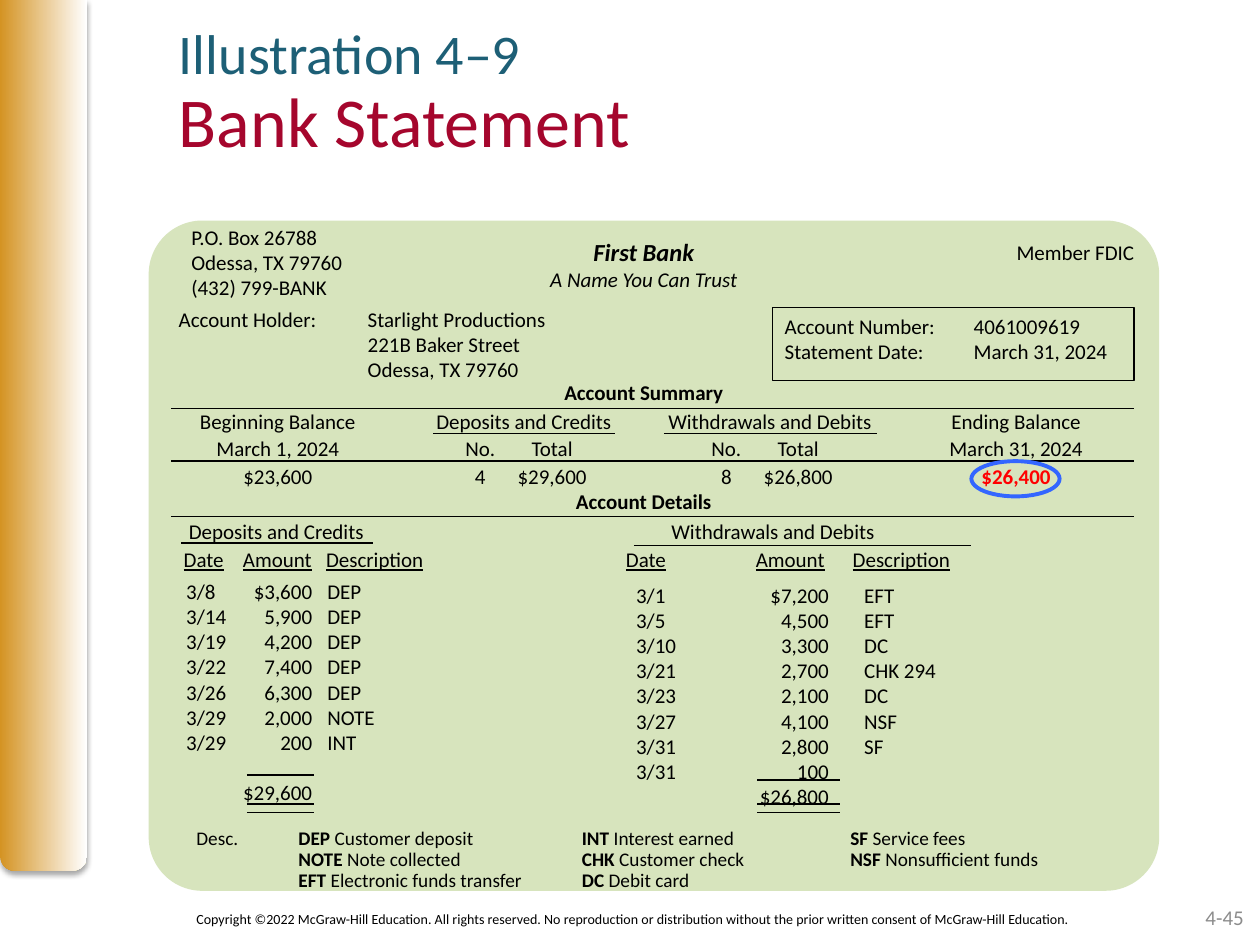
from dataclasses import dataclass

from lxml import etree
from pptx import Presentation
from pptx import util as u
from pptx.dml.color import RGBColor
from pptx.enum import shapes, text
from pptx.oxml.ns import qn

PX = 9144
LEFT, MID, RIGHT = text.PP_ALIGN.LEFT, text.PP_ALIGN.CENTER, text.PP_ALIGN.RIGHT
KIND = shapes.MSO_SHAPE


@dataclass
class Theme:
    face: str = "Calibri"
    ink: str = "000000"
    teal: str = "1D5F76"
    wine: str = "A5062D"
    gold: str = "D49323"
    white: str = "FFFFFF"
    green: str = "D7E4BD"
    red: str = "FF0000"
    blue: str = "3366FF"
    grey: str = "8C8C8C"
    lead: int = 32
    head: int = 40
    bank: int = 14
    body: int = 12
    key: int = 11
    small: int = 8


def rgb(code):
    return RGBColor.from_string(code)


class Page:
    def __init__(self, deck, theme):
        self.theme = theme
        self.slide = deck.slides.add_slide(deck.slide_layouts[5])

    def style(self, run, size, color):
        run.font.name = self.theme.face
        run.font.size = u.Pt(size)
        run.font.color.rgb = rgb(color)

    def title(self, x, y, w, h, lines):
        item = self.slide.shapes.title
        item.left, item.top, item.width, item.height = (n * PX for n in (x, y, w, h))
        frame = item.text_frame
        frame.text = "\v".join(line for line, _, _ in lines)
        frame.auto_size = text.MSO_AUTO_SIZE.NONE
        frame.vertical_anchor = text.MSO_ANCHOR.TOP
        para = frame.paragraphs[0]
        para.alignment, para.line_spacing = LEFT, 0.9
        for run, (_, size, color) in zip(para.runs, lines):
            self.style(run, size, color)

    def stops(self, para, tabs):
        if tabs:
            group = etree.SubElement(para._p.get_or_add_pPr(), qn("a:tabLst"))
            for pos, side in tabs:
                etree.SubElement(group, qn("a:tab"), pos=str(pos * PX), algn=side)

    def box(self, x, y, w, h, lines, size=None, color=None, align=LEFT,
            tabs=(), space=None, mark="bold"):
        item = self.slide.shapes.add_textbox(x * PX, y * PX, w * PX, h * PX)
        frame = item.text_frame
        frame.word_wrap = True
        for row, line in enumerate(lines):
            para = frame.add_paragraph() if row else frame.paragraphs[0]
            self.stops(para, tabs)
            para.alignment = LEFT if "\t" in line else align
            para.line_spacing = space
            for part, words in enumerate(line.split("|")):
                if words:
                    run = para.add_run()
                    run.text = words
                    self.style(run, size or self.theme.body, color or self.theme.ink)
                    if part % 2:
                        setattr(run.font, mark, True)
        return frame

    def shape(self, kind, x, y, w, h, fill=None, line=None, width=0.75):
        item = self.slide.shapes.add_shape(kind, x * PX, y * PX, w * PX, h * PX)
        item.shadow.inherit = False
        if fill:
            item.fill.solid()
            item.fill.fore_color.rgb = rgb(fill)
        else:
            item.fill.background()
        if line:
            item.line.color.rgb = rgb(line)
            item.line.width = u.Pt(width)
        else:
            item.line.fill.background()
        return item

    def band(self, x, y, w, h):
        item = self.shape(KIND.ROUND_2_SAME_RECTANGLE, x, y, w, h)
        item._element.spPr.find(qn("a:xfrm")).set("flipV", "1")
        item.fill.gradient()
        item.fill.gradient_angle = 0
        for stop, color in zip(item.fill.gradient_stops, (self.theme.gold, self.theme.white)):
            stop.color.rgb = rgb(color)
        glow = etree.SubElement(item._element.spPr.find(qn("a:effectLst")), qn("a:outerShdw"),
                                blurRad=str(u.Pt(3.1)), dist=str(u.Pt(1.8)), dir="5400000")
        tint = etree.SubElement(glow, qn("a:srgbClr"), val=self.theme.ink)
        etree.SubElement(tint, qn("a:alpha"), val="35000")

    def rule(self, left, right, y):
        item = self.slide.shapes.add_connector(
            shapes.MSO_CONNECTOR.STRAIGHT, left * PX, y * PX, right * PX, y * PX)
        item.line.color.rgb = rgb(self.theme.ink)
        item.line.width = u.Pt(0.75)
        etree.SubElement(item._element.spPr, qn("a:effectLst"))


def header(page, theme):
    bank = page.box(284, 183, 454, 52, ["|First Bank", "A Name You Can Trust"], align=MID)
    for para in bank.paragraphs:
        para.runs[0].font.italic = True
    bank.paragraphs[0].runs[0].font.size = u.Pt(theme.bank)
    page.box(142, 173, 183, 71, ["P.O. Box 26788", "Odessa, TX 79760", "(432) 799-BANK"])
    page.box(797, 185, 117, 29, ["Member FDIC"])
    tabs = [(150, "l")]
    page.box(132, 238, 323, 71, ["Account Holder:\tStarlight Productions",
                                 "\t221B Baker Street", "\tOdessa, TX 79760"], tabs=tabs)
    page.box(613, 244, 287, 50, ["Account Number:\t4061009619",
                                 "Statement Date:\tMarch 31, 2024"], tabs=tabs)
    page.shape(KIND.RECTANGLE, 613, 244, 287, 58, line=theme.ink)


def summary(page, theme):
    page.box(136, 296, 750, 29, ["|Account Summary"], align=MID)
    frame = page.box(113, 317, 801, 83, [
        "Beginning Balance", "March 1, 2024", "$23,600",
        "Deposits and Credits", "\tNo.\tTotal", "\t4\t$29,600",
        "Withdrawals and Debits", "\tNo.\tTotal", "\t8\t$26,800",
        "Ending Balance", "March 31, 2024", "|$26,400"],
        align=MID, tabs=[(63, "ctr"), (120, "ctr")], space=1.1)
    frame._txBody.bodyPr.set("numCol", "4")
    frame.paragraphs[-1].runs[0].font.color.rgb = rgb(theme.red)
    for left, right, y in ((136, 900, 324), (136, 900, 366), (344, 488, 344), (527, 696, 344)):
        page.rule(left, right, y)
    page.shape(KIND.OVAL, 771, 366, 70, 28, line=theme.blue, width=2.25)


def detail(page):
    page.box(136, 383, 750, 29, ["|Account Details"], align=MID)
    page.rule(136, 900, 410)
    page.box(136, 405, 764, 27, ["\tDeposits and Credits\tWithdrawals and Debits"],
             tabs=[(4, "l"), (387, "l")], space=1.1)
    names = "|Date|\t|Amount|\t|Description|"
    page.box(136, 427, 764, 27, [names + "\t" + names], space=1.1, mark="underline",
             tabs=[(pos, "l") for pos in (47, 113, 351, 454, 531)])
    gains = page.box(138, 454, 204, 192, [
        "3/8\t$3,600\tDEP", "3/14\t5,900\tDEP", "3/19\t4,200\tDEP", "3/22\t7,400\tDEP",
        "3/26\t6,300\tDEP", "3/29\t2,000\tNOTE", "3/29\t200\tINT", "\t$29,600"],
        tabs=[(100, "r"), (112, "l")])
    gains.paragraphs[-1].space_before = u.Pt(14)
    page.box(495, 457, 302, 192, [
        "3/1\t$7,200\tEFT", "3/5\t4,500\tEFT", "3/10\t3,300\tDC", "3/21\t2,700\tCHK 294",
        "3/23\t2,100\tDC", "3/27\t4,100\tNSF", "3/31\t2,800\tSF", "3/31\t100", "\t$26,800"],
        tabs=[(153, "r"), (181, "l")])
    page.rule(144, 296, 431)
    page.rule(503, 771, 433)
    for left, right, top in ((196, 249, 615), (601, 667, 619)):
        for y in (top, 638, 645):
            page.rule(left, right, y)


def main():
    deck = Presentation()
    deck.slide_width, deck.slide_height = 1000 * PX, 750 * PX
    theme = Theme()
    page = Page(deck, theme)
    page.band(0, 0, 69, 691)
    panel = page.shape(KIND.ROUNDED_RECTANGLE, 118, 175, 802, 532, fill=theme.green)
    panel.adjustments[0] = 0.08
    header(page, theme)
    summary(page, theme)
    detail(page)
    page.box(146, 653, 789, 60, [
        "Desc.\t|DEP| Customer deposit\t|INT| Interest earned\t|SF| Service fees",
        "\t|NOTE| Note collected\t|CHK| Customer check\t|NSF| Nonsufficient funds",
        "\t|EFT| Electronic funds transfer\t|DC| Debit card"],
        size=theme.key, tabs=[(81, "l"), (306, "l"), (519, "l")], space=0.9)
    page.title(132, 16, 900, 85, [("Illustration 4–9", theme.lead, theme.teal),
                                  ("Bank Statement", theme.head, theme.wine)])
    page.box(146, 718, 763, 24, [
        "Copyright ©2022 McGraw-Hill Education. All rights reserved. No reproduction or "
        "distribution without the prior written consent of McGraw-Hill Education."],
        size=theme.small)
    number = page.box(764, 708, 233, 40, ["4-45"], color=theme.grey, align=RIGHT)
    number.vertical_anchor = text.MSO_ANCHOR.MIDDLE
    deck.save("out.pptx")


if __name__ == "__main__":
    main()
